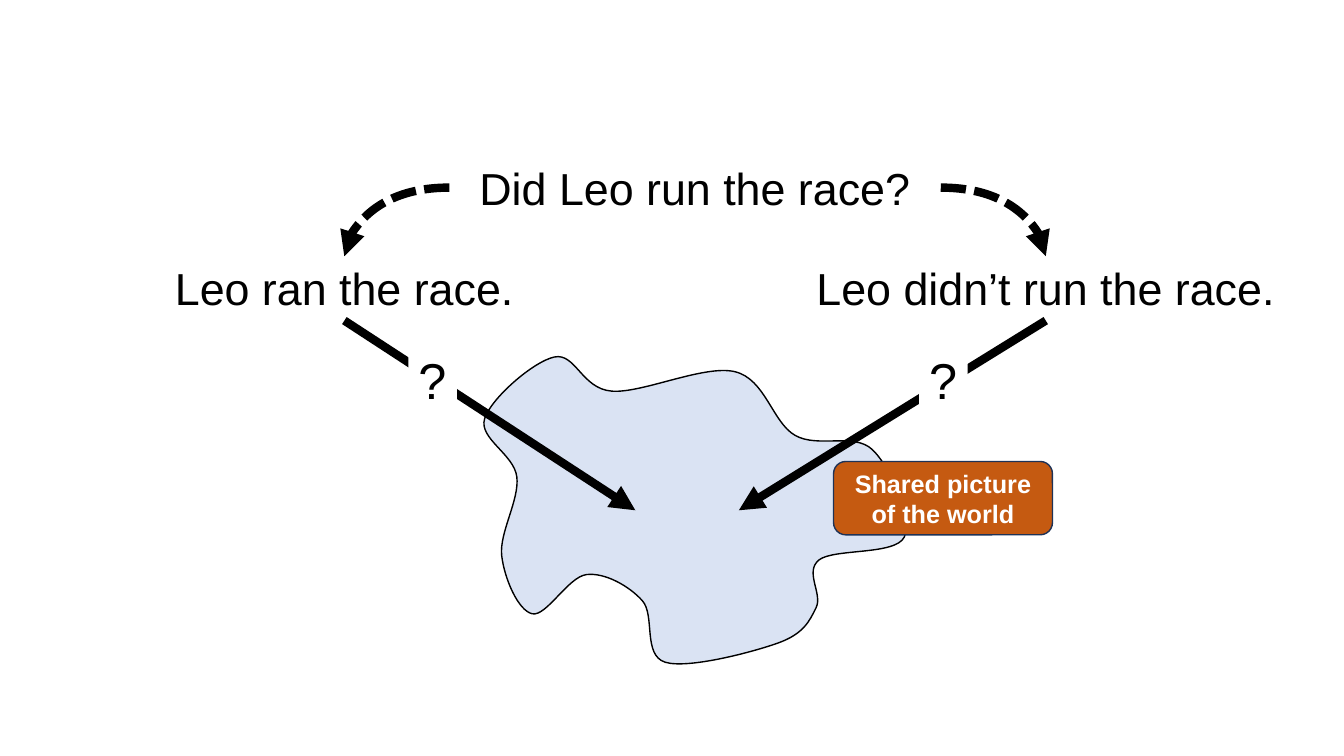
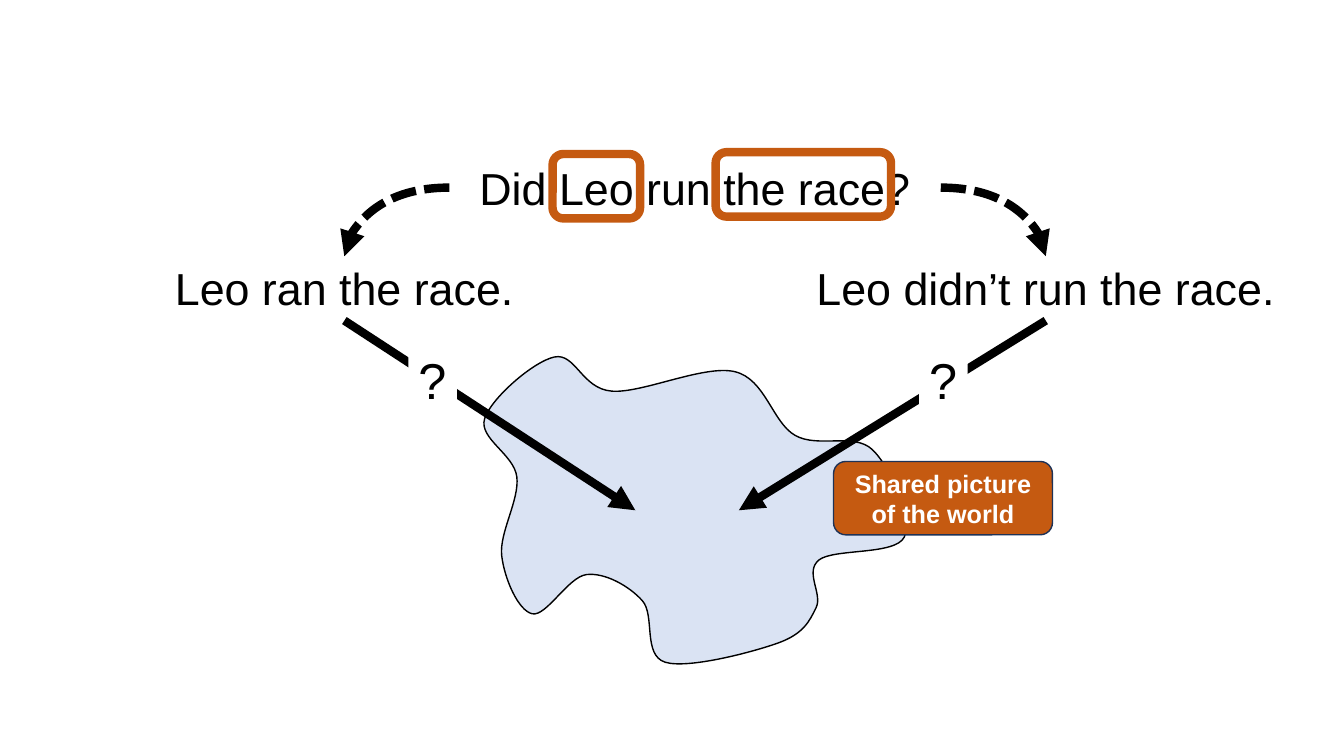
"""Build two slides on how a yes-no question offers two answers about a shared world."""
from lxml import etree
from pptx import Presentation
from pptx.dml.color import RGBColor
from pptx.enum.dml import MSO_LINE
from pptx.enum.shapes import MSO_CONNECTOR, MSO_SHAPE
from pptx.enum.text import MSO_ANCHOR, MSO_AUTO_SIZE, PP_ALIGN
from pptx.oxml.ns import qn
from pptx.util import Pt

CENTER, LEFT = PP_ALIGN.CENTER, PP_ALIGN.LEFT
TOP, MIDDLE = MSO_ANCHOR.TOP, MSO_ANCHOR.MIDDLE
STRAIGHT, CURVE = MSO_CONNECTOR.STRAIGHT, MSO_CONNECTOR.CURVE
RECTANGLE, ROUNDED = MSO_SHAPE.RECTANGLE, MSO_SHAPE.ROUNDED_RECTANGLE
SHORT_DASH = MSO_LINE.SQUARE_DOT

COLORS = {
    "ink": "000000",
    "paper": "FFFFFF",
    "world": "DAE3F3",
    "accent": "C55A11",
    "label_edge": "1E3256",
}
FONT = "Arial"
TITLE_LEFT, TITLE_TOP, TEXT_WIDTH, TEXT_HEIGHT = 321, 111, 351, 46
TITLE_MIDDLE = TITLE_TOP + TEXT_HEIGHT / 2
STATEMENT_TOP = 183
ARROW_END_Y = 364.5

WORLD_ANCHORS = [
    (437, 279.4), (525, 265.5), (568, 311), (623, 321),
    (646, 383.6), (585, 400), (583, 434), (556, 459.2),
    (475.2, 473), (458.8, 429), (419, 410.4), (380.2, 438.4),
    (358.4, 396.8), (369.2, 340.6), (346.2, 299), (396, 255),
]
ANSWERS = [
    ("Leo ran the race.", 70.5, TITLE_LEFT, 453.8, 291.7),
    ("Leo didn’t run the race.", 571.5, TITLE_LEFT + TEXT_WIDTH, 527.8, 656.5),
]
HIGHLIGHTS = [(394.7, 110, 62.5), (511.2, 108.7, 125.3)]


def write_text(shape, text, size, color="ink", bold=False, align=CENTER, anchor=TOP):
    frame = shape.text_frame
    frame.word_wrap = True
    frame.auto_size = MSO_AUTO_SIZE.NONE
    frame.vertical_anchor = anchor
    paragraph = frame.paragraphs[0]
    paragraph.text = text
    paragraph.alignment = align
    paragraph.font.name = FONT
    paragraph.font.size = Pt(size)
    paragraph.font.bold = bold
    paragraph.font.color.rgb = RGBColor.from_string(COLORS[color])


def style_shape(shape, fill=None, line=None, width=1):
    shape.shadow.inherit = False
    for target, color in ((shape.fill, fill), (shape.line.fill, line)):
        if color:
            target.solid()
            target.fore_color.rgb = RGBColor.from_string(COLORS[color])
        else:
            target.background()
    if line:
        shape.line.width = Pt(width)


presentation = Presentation()
presentation.slide_width, presentation.slide_height = Pt(960), Pt(540)
title_only = presentation.slide_layouts[5]

for highlights in ([], HIGHLIGHTS):
    slide = presentation.slides.add_slide(title_only)
    shapes = slide.shapes

    title = shapes.title
    title.left, title.top = Pt(TITLE_LEFT), Pt(TITLE_TOP)
    title.width, title.height = Pt(TEXT_WIDTH), Pt(TEXT_HEIGHT)
    write_text(title, "Did Leo run the race?", 32)

    anchors = [(Pt(x), Pt(y)) for x, y in WORLD_ANCHORS]
    builder = shapes.build_freeform(*anchors[0])
    builder.add_line_segments(anchors[1:] + anchors[:1], close=True)
    world = builder.convert_to_shape()
    style_shape(world, "world", "ink")
    corners = [(x - world.left, y - world.top) for x, y in anchors]
    count = len(corners)
    for index, segment in enumerate(list(world._element.iter(qn("a:lnTo")))):
        before, start, end, after = (corners[(index + k) % count] for k in (-1, 0, 1, 2))
        segment.tag = qn("a:cubicBezTo")
        controls = [(start, before, end), (end, after, start)]
        for position, (corner, previous, following) in enumerate(controls):
            x, y = (round(c + (f - p) / 6) for c, p, f in zip(corner, previous, following))
            segment.insert(position, etree.Element(qn("a:pt"), x=str(x), y=str(y)))

    label = shapes.add_shape(ROUNDED, Pt(595.4), Pt(329.6), Pt(156.4), Pt(52.4))
    style_shape(label, "accent", "label_edge")
    write_text(label, "Shared picture of the world", 18, "paper", bold=True, anchor=MIDDLE)

    for text, left, curve_start, arrow_end, question_left in ANSWERS:
        statement = shapes.add_textbox(
            Pt(left), Pt(STATEMENT_TOP), Pt(TEXT_WIDTH), Pt(TEXT_HEIGHT))
        write_text(statement, text, 32)

        center = left + TEXT_WIDTH / 2
        arrows = [
            (CURVE, curve_start, TITLE_MIDDLE, center, STATEMENT_TOP),
            (STRAIGHT, center, STATEMENT_TOP + TEXT_HEIGHT, arrow_end, ARROW_END_Y),
        ]
        for kind, *ends in arrows:
            arrow = shapes.add_connector(kind, *(Pt(value) for value in ends))
            arrow.line.color.rgb = RGBColor.from_string(COLORS["ink"])
            arrow.line.width = Pt(6)
            properties = arrow._element.spPr
            if kind == CURVE:
                arrow.line.dash_style = SHORT_DASH
                properties.find(qn("a:prstGeom")).set("prst", "curvedConnector2")
            etree.SubElement(properties.find(qn("a:ln")), qn("a:tailEnd"), type="triangle")
            etree.SubElement(properties, qn("a:effectLst"))

        question = shapes.add_shape(RECTANGLE, Pt(question_left), Pt(245.5), Pt(34.6), Pt(51))
        style_shape(question, "paper")
        write_text(question, "?", 36, align=LEFT)

    for left, top, width in highlights:
        highlight = shapes.add_shape(ROUNDED, Pt(left), Pt(top), Pt(width), Pt(TEXT_HEIGHT))
        style_shape(highlight, line="accent", width=6)

presentation.save("out.pptx")
